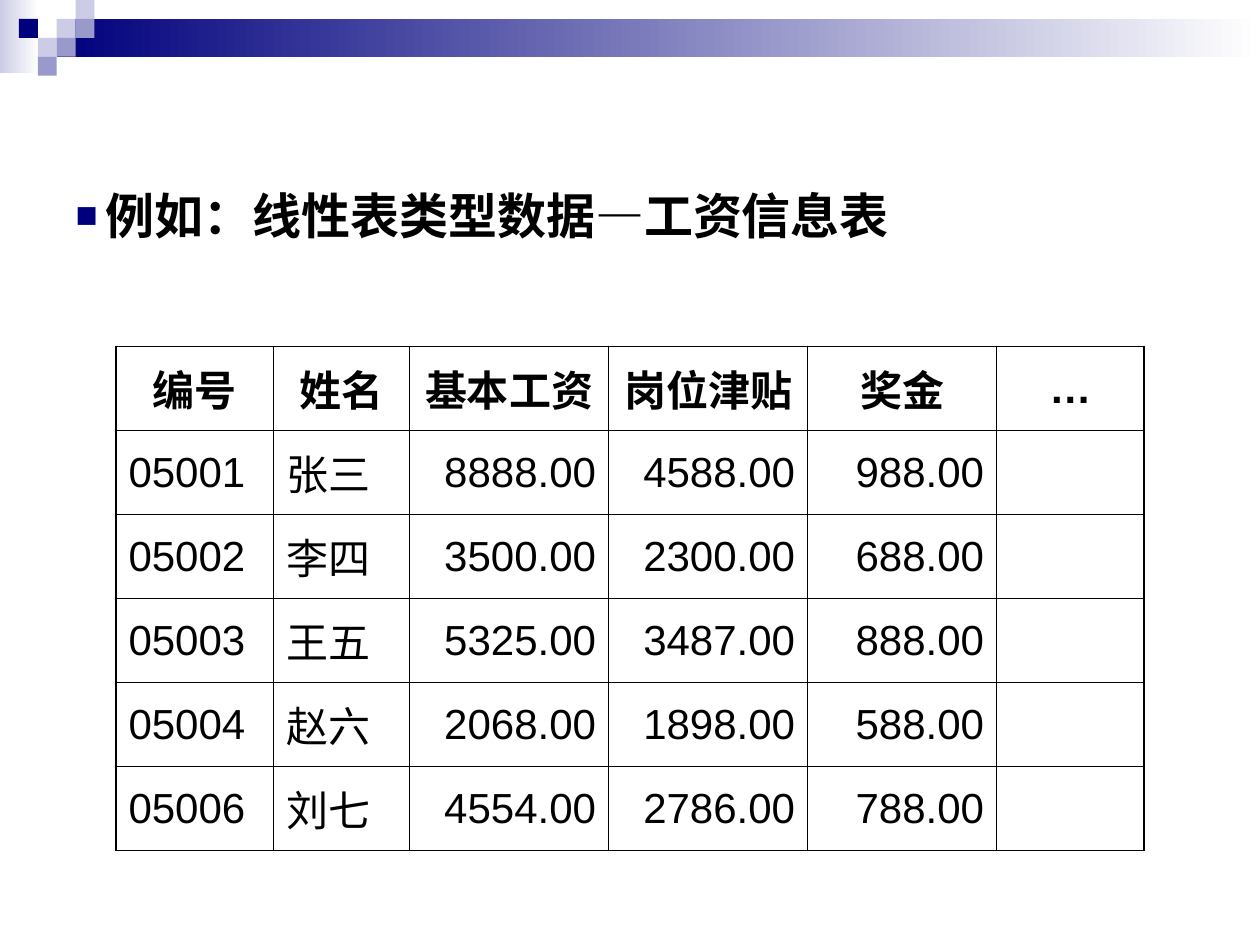
"""Build a slide with a payroll table as an example of linear-list data."""
import pptx
import pptx.util
import pptx.dml.color
import pptx.enum.shapes
import pptx.enum.text
import pptx.oxml.ns
import lxml.etree

RGB = pptx.dml.color.RGBColor
Inches = pptx.util.Inches
Pt = pptx.util.Pt
ALIGN = pptx.enum.text.PP_ALIGN
ANCHOR = pptx.enum.text.MSO_ANCHOR

NAVY = RGB(0x00, 0x00, 0x7D)
MID = RGB(0x99, 0x99, 0xCC)
PALE = RGB(0xCC, 0xCC, 0xE6)
WHITE = RGB(0xFF, 0xFF, 0xFF)
BLACK = RGB(0x00, 0x00, 0x00)
FONT = "Arial"

TITLE = "例如：线性表类型数据—工资信息表"
HEAD = ["编号", "姓名", "基本工资", "岗位津贴", "奖金", "…"]
ROWS = [
    ["05001", "张三", "8888.00", "4588.00", "988.00", ""],
    ["05002", "李四", "3500.00", "2300.00", "688.00", ""],
    ["05003", "王五", "5325.00", "3487.00", "888.00", ""],
    ["05004", "赵六", "2068.00", "1898.00", "588.00", ""],
    ["05006", "刘七", "4554.00", "2786.00", "788.00", ""],
]
COLS = [1.25, 1.08, 1.58, 1.58, 1.5, 1.17]
SIDES = [ALIGN.LEFT, ALIGN.LEFT, ALIGN.RIGHT, ALIGN.RIGHT, ALIGN.RIGHT, ALIGN.LEFT]
LEFT, TOP, TALL = 0.92, 2.75, 4
THICK, THIN = 1.08, 0.45

UNIT = 0.15
BANDS = [(0, 0, 0.31, 0.58, PALE), (3 * UNIT, UNIT, 10 - 3 * UNIT, 2 * UNIT, NAVY)]
TILES = [(3, 1, PALE), (4, 0, PALE), (4, 1, MID), (2, 2, PALE),
         (1, 1, NAVY), (3, 2, MID), (2, 3, MID)]


def add_child(node, tag, **attrs):
    return lxml.etree.SubElement(node, pptx.oxml.ns.qn(tag), **attrs)


def add_rect(slide, x, y, w, h):
    kind = pptx.enum.shapes.MSO_SHAPE.RECTANGLE
    rect = slide.shapes.add_shape(kind, Inches(x), Inches(y), Inches(w), Inches(h))
    rect.shadow.inherit = False
    rect.line.fill.background()
    return rect


def add_run(para, text, size, bold):
    run = para.add_run()
    run.text = text
    font = run.font
    font.name, font.size, font.bold = FONT, Pt(size), bold
    font.color.rgb = BLACK


def draw_trim(slide):
    for x, y, w, h, tone in BANDS:
        fill = add_rect(slide, x, y, w, h).fill
        fill.gradient()
        fill.gradient_angle = 0
        for stop, hue in zip(fill.gradient_stops, (tone, WHITE)):
            stop.color.rgb = hue
    for col, row, tone in TILES:
        fill = add_rect(slide, col * UNIT, row * UNIT, UNIT, UNIT).fill
        fill.solid()
        fill.fore_color.rgb = tone


def set_title(slide):
    title = slide.shapes.title
    title.left, title.top = Inches(0.5), Inches(1.42)
    title.width, title.height = Inches(9), Inches(0.57)
    frame = title.text_frame
    frame.word_wrap = True
    frame.auto_size = pptx.enum.text.MSO_AUTO_SIZE.SHAPE_TO_FIT_TEXT
    frame.vertical_anchor = ANCHOR.TOP
    para = frame.paragraphs[0]
    para.alignment = ALIGN.LEFT
    props = para._p.get_or_add_pPr()
    indent = Inches(0.24)
    props.set("marL", str(indent))
    props.set("indent", str(-indent))
    add_child(add_child(props, "a:buClr"), "a:srgbClr", val=str(NAVY))
    add_child(props, "a:buSzPct", val="75000")
    add_child(props, "a:buFont", typeface=FONT)
    add_child(props, "a:buChar", char="■")
    add_run(para, TITLE, 28, True)


def set_edges(cell, edges):
    props = cell._tc.get_or_add_tcPr()
    for side, outer in edges.items():
        width = Pt(THICK if outer else THIN)
        line = add_child(props, "a:ln" + side, w=str(width))
        add_child(add_child(line, "a:solidFill"), "a:srgbClr", val=str(BLACK))


def draw_table(slide):
    data = [HEAD] + ROWS
    last, end = len(data) - 1, len(COLS) - 1
    table = slide.shapes.add_table(
        len(data), len(COLS), Inches(LEFT), Inches(TOP),
        Inches(sum(COLS)), Inches(TALL)).table
    table.horz_banding = False
    for col, width in zip(table.columns, COLS):
        col.width = Inches(width)
    for r, row in enumerate(data):
        for c, text in enumerate(row):
            cell = table.cell(r, c)
            set_edges(cell, {"L": c == 0, "R": c == end, "T": r == 0, "B": r == last})
            cell.fill.background()
            cell.vertical_anchor = ANCHOR.MIDDLE
            para = cell.text_frame.paragraphs[0]
            para.alignment = ALIGN.CENTER if r == 0 else SIDES[c]
            if text:
                add_run(para, text, 24, r == 0)


def main():
    deck = pptx.Presentation()
    deck.slide_width, deck.slide_height = Inches(10), Inches(7.5)
    slide = deck.slides.add_slide(deck.slide_layouts[5])
    draw_trim(slide)
    draw_table(slide)
    set_title(slide)
    deck.save("out.pptx")


if __name__ == "__main__":
    main()
